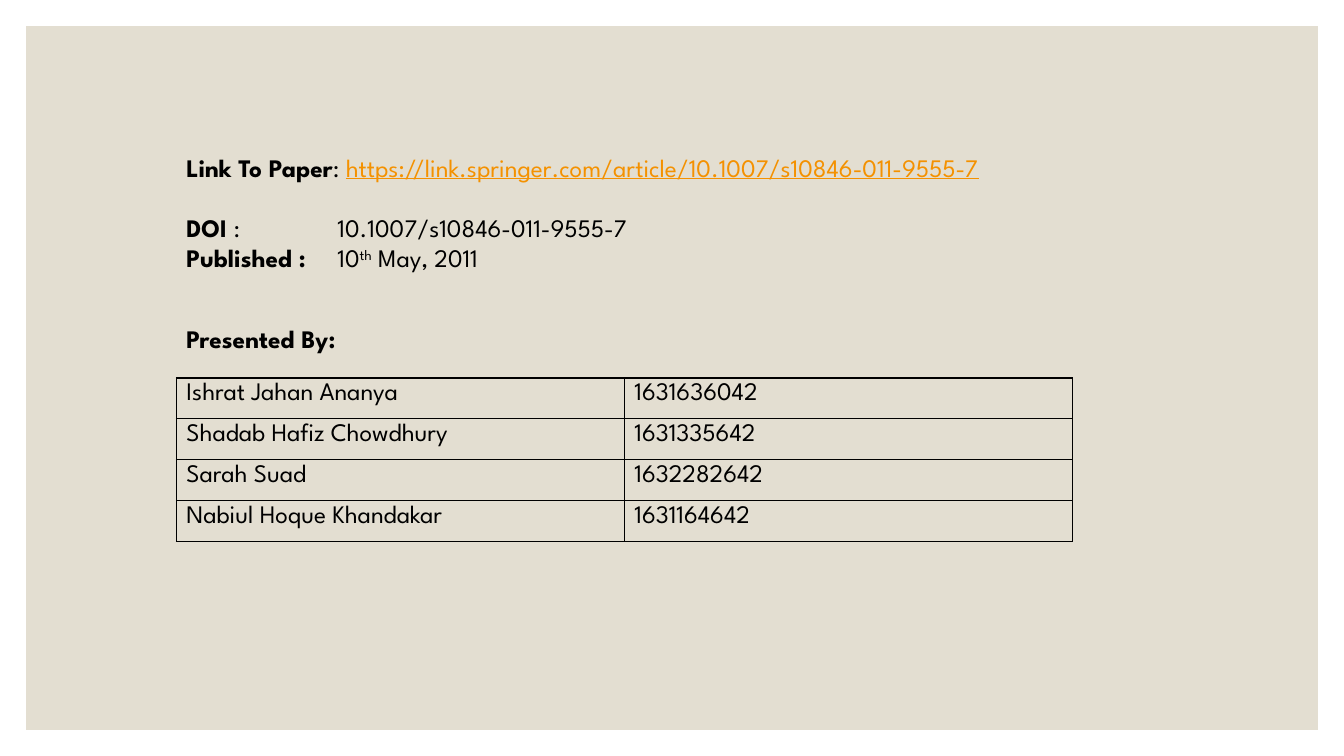
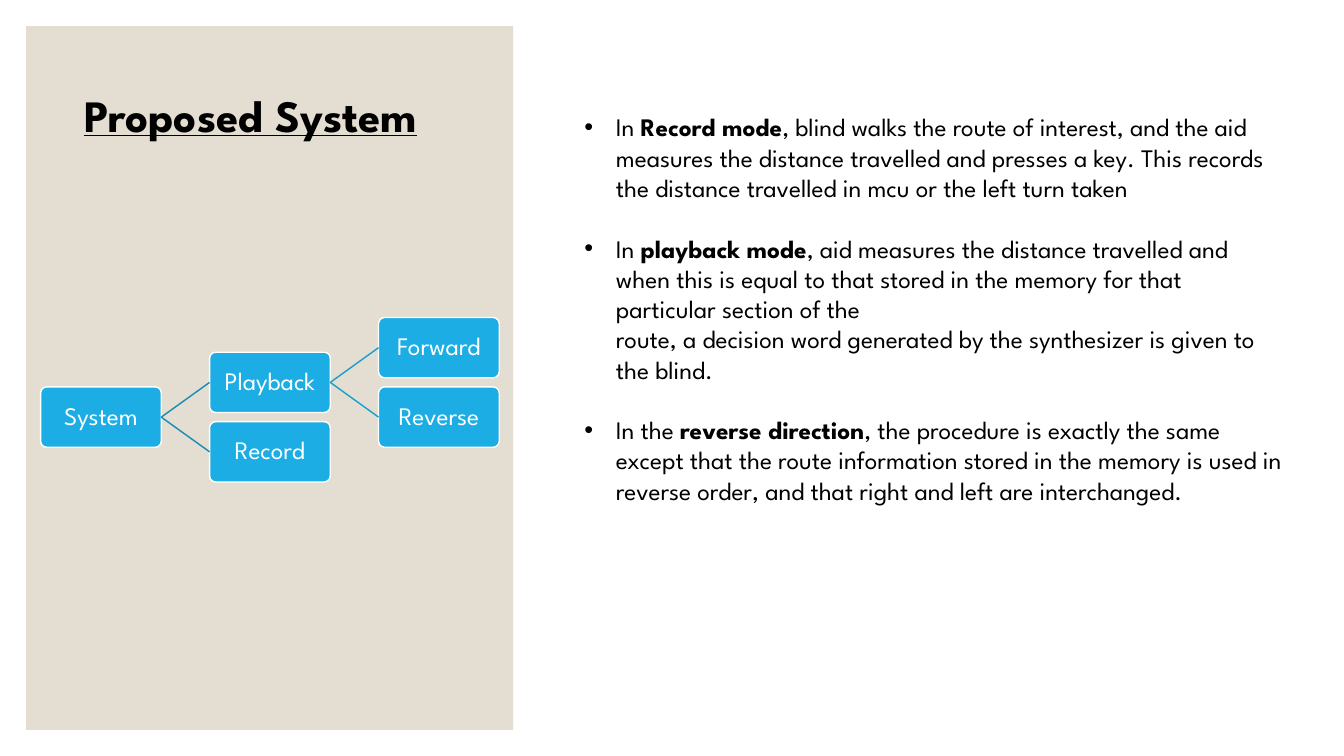
from lxml import etree
from pptx import Presentation
from pptx.dml.color import RGBColor
from pptx.enum import shapes, text
from pptx.oxml.ns import qn
from pptx.util import Pt

COLORS = {
    "text": "000000",
    "panel": "E3DED1",
    "link": "F49100",
    "node": "1CADE4",
    "white": "FFFFFF",
    "first_branch": "168BB7",
    "second_branch": "199DCF",
}
FONT = "League Spartan"
SLIDE_WIDTH, SLIDE_HEIGHT = 960, 540
MARGIN = 18.7
LEFT = 126
TEXT_SIZE, TITLE_SIZE = 18, 32
BLANK_LINE = 21.7
VALUE_TAB = 108
BULLET_INDENT = 22.5

NODE_WIDTH, NODE_HEIGHT = 86.2, 43.1
COLUMN_STEP, ROW_STEP = 120.7, 24.8
TREE_LEFT, TREE_TOP = 29, 226.8

PRESENTERS = [
    ("Ishrat Jahan Ananya", "1631636042"),
    ("Shadab Hafiz Chowdhury", "1631335642"),
    ("Sarah Suad", "1632282642"),
    ("Nabiul Hoque Khandakar", "1631164642"),
]
NODES = {
    "System": (0, 2),
    "Playback": (1, 1),
    "Record": (1, 3),
    "Forward": (2, 0),
    "Reverse": (2, 2),
}
BRANCHES = [
    ("System", "Playback", "first_branch"),
    ("System", "Record", "first_branch"),
    ("Playback", "Forward", "second_branch"),
    ("Playback", "Reverse", "second_branch"),
]
PAPER = [
    [("Link To Paper", "bold"), (": ", ""),
     ("https://link.springer.com/article/10.1007/s10846-011-9555-7", "link")],
    [("DOI ", "bold"), (":\t10.1007/s10846-011-9555-7", "")],
    [("Published :\t", "bold"), ("10", ""), ("th", "super"), (" May, 2011", "")],
]
MODES = [
    [("In ", ""), ("Record mode", "bold"),
     (", blind walks the route of interest, and the aid measures the distance "
      "travelled and presses a key. This records the distance travelled in mcu "
      "or the left turn taken", "")],
    [("In ", ""), ("playback mode", "bold"),
     (", aid measures the distance travelled and when this is equal to that "
      "stored in the memory for that particular section of the", ""),
     ("", "break"),
     ("route, a decision word generated by the synthesizer is given to the "
      "blind.", "")],
    [("In the ", ""), ("reverse direction", "bold"),
     (", the procedure is exactly the same except that the route information "
      "stored in the memory is used in reverse order, and that right and left "
      "are interchanged.", "")],
]


def color(name):
    return RGBColor.from_string(COLORS[name])


def style_run(run, size=TEXT_SIZE, color_name="text", bold=False, underline=False):
    run.font.name = FONT
    run.font.size = Pt(size)
    run.font.color.rgb = color(color_name)
    run.font.bold = bold
    run.font.underline = underline


def write_runs(paragraph, pieces):
    for words, style in pieces:
        if style == "break":
            paragraph.add_line_break()
            continue
        run = paragraph.add_run()
        run.text = words
        is_link = style == "link"
        style_run(run, color_name="link" if is_link else "text",
                  bold=style == "bold", underline=is_link)
        if style == "super":
            run.font._element.set("baseline", "30000")


def add_bullet(paragraph):
    properties = paragraph._p.get_or_add_pPr()
    properties.set("marL", str(Pt(BULLET_INDENT)))
    properties.set("indent", str(-Pt(BULLET_INDENT)))
    etree.SubElement(properties, qn("a:buFont")).set("typeface", "Arial")
    etree.SubElement(properties, qn("a:buChar")).set("char", "•")


def add_value_tab(paragraph):
    tabs = etree.SubElement(paragraph._p.get_or_add_pPr(), qn("a:tabLst"))
    tab = etree.SubElement(tabs, qn("a:tab"))
    tab.set("pos", str(Pt(VALUE_TAB)))
    tab.set("algn", "l")


def add_text_box(slide, left, top, width, height):
    box = slide.shapes.add_textbox(Pt(left), Pt(top), Pt(width), Pt(height))
    box.text_frame.word_wrap = True
    return box.text_frame


def add_paragraphs(frame, contents, prepare, spaced):
    for index, pieces in enumerate(contents):
        paragraph = frame.add_paragraph() if index else frame.paragraphs[0]
        prepare(paragraph)
        if index in spaced:
            paragraph.space_before = Pt(BLANK_LINE)
        write_runs(paragraph, pieces)


def add_heading(slide, words, left, top, width, height, **style):
    frame = add_text_box(slide, left, top, width, height)
    frame.text = words
    style_run(frame.paragraphs[0].runs[0], bold=True, **style)


def add_panel(slide, width):
    panel = slide.shapes.add_shape(
        shapes.MSO_SHAPE.RECTANGLE, Pt(MARGIN), Pt(MARGIN),
        Pt(width), Pt(SLIDE_HEIGHT - 2 * MARGIN))
    panel.shadow.inherit = False
    panel.fill.solid()
    panel.fill.fore_color.rgb = color("panel")
    panel.line.fill.background()


def add_borders(cell):
    properties = cell._tc.get_or_add_tcPr()
    for index, side in enumerate(("lnL", "lnR", "lnT", "lnB")):
        line = etree.Element(qn("a:" + side), w=str(Pt(1)))
        fill = etree.SubElement(line, qn("a:solidFill"))
        etree.SubElement(fill, qn("a:srgbClr")).set("val", COLORS["text"])
        properties.insert(index, line)


def add_presenter_table(slide, rows):
    frame = slide.shapes.add_table(
        len(rows), 2, Pt(LEFT), Pt(270), Pt(640), Pt(29.2 * len(rows)))
    table = frame.table
    table.first_row = False
    table.horz_banding = False
    for row_index, values in enumerate(rows):
        for column_index, value in enumerate(values):
            cell = table.cell(row_index, column_index)
            cell.text = value
            cell.fill.background()
            style_run(cell.text_frame.paragraphs[0].runs[0])
            add_borders(cell)


def add_node(slide, label, column, row):
    node = slide.shapes.add_shape(
        shapes.MSO_SHAPE.ROUNDED_RECTANGLE,
        Pt(TREE_LEFT + column * COLUMN_STEP), Pt(TREE_TOP + row * ROW_STEP),
        Pt(NODE_WIDTH), Pt(NODE_HEIGHT))
    node.adjustments[0] = 0.1
    node.shadow.inherit = False
    node.fill.solid()
    node.fill.fore_color.rgb = color("node")
    node.line.color.rgb = color("white")
    node.line.width = Pt(1)
    frame = node.text_frame
    frame.margin_left = frame.margin_right = Pt(1)
    frame.margin_top = frame.margin_bottom = Pt(1)
    frame.vertical_anchor = text.MSO_ANCHOR.MIDDLE
    frame.text = label
    paragraph = frame.paragraphs[0]
    paragraph.alignment = text.PP_ALIGN.CENTER
    paragraph.line_spacing = 0.9
    style_run(paragraph.runs[0], color_name="white")
    return node


def add_branch(slide, parent, child, color_name):
    branch = slide.shapes.add_connector(shapes.MSO_CONNECTOR.STRAIGHT, 0, 0, 0, 0)
    branch.begin_connect(parent, 3)
    branch.end_connect(child, 1)
    branch.line.color.rgb = color(color_name)
    branch.line.width = Pt(1)
    etree.SubElement(branch._element.spPr, qn("a:effectLst"))


def add_tree(slide):
    nodes = {label: add_node(slide, label, *place) for label, place in NODES.items()}
    for parent, child, color_name in BRANCHES:
        add_branch(slide, nodes[parent], nodes[child], color_name)


def build_paper_slide(slide):
    add_panel(slide, SLIDE_WIDTH - 2 * MARGIN)
    frame = add_text_box(slide, LEFT, 105, 659, 117)
    add_paragraphs(frame, PAPER, add_value_tab, spaced=(1,))
    add_presenter_table(slide, PRESENTERS)
    add_heading(slide, "Presented By:", LEFT, 227.5, 168, 29)


def build_system_slide(slide):
    add_panel(slide, 347.8)
    add_heading(slide, "Proposed System", 53.3, 59, 297, 46,
                size=TITLE_SIZE, underline=True)
    add_tree(slide)
    frame = add_text_box(slide, 410.4, 76.3, 514, 378)
    add_paragraphs(frame, MODES, add_bullet, spaced=(1, 2))


def main():
    presentation = Presentation()
    presentation.slide_width = Pt(SLIDE_WIDTH)
    presentation.slide_height = Pt(SLIDE_HEIGHT)
    for build in (build_paper_slide, build_system_slide):
        build(presentation.slides.add_slide(presentation.slide_layouts[6]))
    presentation.save("out.pptx")


if __name__ == "__main__":
    main()
